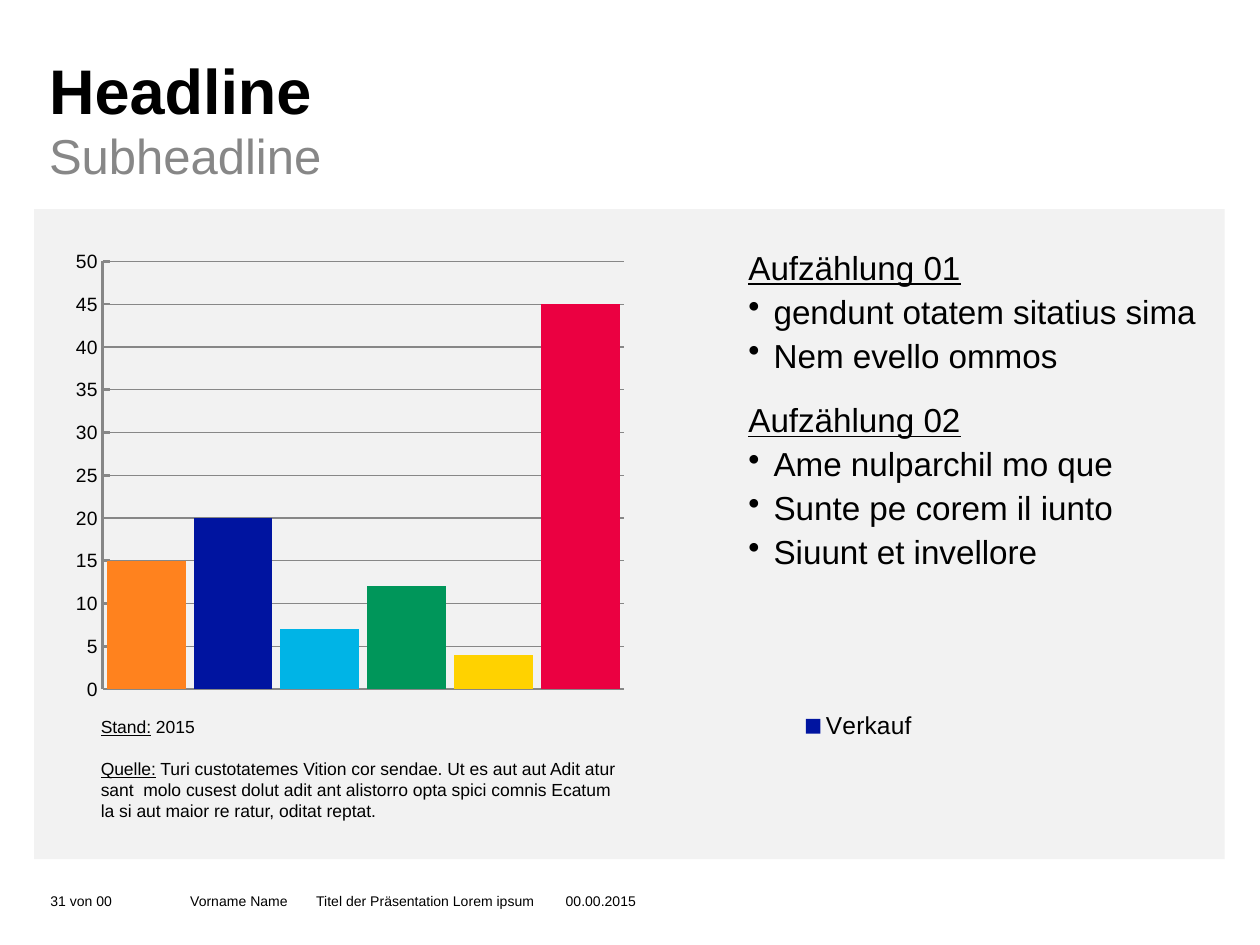
from dataclasses import dataclass

from lxml import etree
from pptx import Presentation, util as u
from pptx.chart.data import CategoryChartData
from pptx.dml.color import RGBColor
from pptx.enum import chart as charts, shapes, text
from pptx.oxml import ns

PX = u.Inches(1) // 100  # 100 px to the inch


@dataclass(frozen=True)
class Theme:
    font: str = "Arial"
    black: str = "000000"
    gray: str = "878787"
    panel: str = "F2F2F2"
    series: str = "0014A0"
    bars: tuple[str, ...] = ("FF821E", "0014A0", "00B4E6", "00965A", "FFD200", "EB0041")
    headline: int = 36
    subheadline: int = 28
    body: int = 19
    legend: int = 14
    axis: int = 11
    source: int = 10
    footer: int = 8


@dataclass(frozen=True)
class Box:
    left: int
    top: int
    width: int
    height: int

    def emu(self) -> tuple[int, ...]:
        return tuple(value * PX for value in (self.left, self.top, self.width, self.height))


@dataclass(frozen=True)
class Run:
    text: str
    underline: bool = False


@dataclass(frozen=True)
class Line:
    runs: tuple[Run, ...]
    bullet: bool = False
    space_before: int = 0
    tabs: tuple[int, ...] = ()


@dataclass(frozen=True)
class TextBlock:
    box: Box
    lines: tuple[Line, ...]
    size: int
    color: str
    bold: bool = False
    spacing: float = 1.0
    bottom: bool = False


THEME = Theme()
BULLET_INDENT = 20


def rgb(value: str) -> RGBColor:
    return RGBColor.from_string(value)


def plain(content: str, **options) -> Line:
    return Line((Run(content),), **options)


def heading(content: str, space_before: int = 0) -> Line:
    return Line((Run(content, underline=True),), space_before=space_before)


def bullet(content: str) -> Line:
    return plain(content, bullet=True)


def format_paragraph(paragraph, line: Line) -> None:
    properties = paragraph._p.get_or_add_pPr()
    if line.bullet:
        properties.set("marL", str(BULLET_INDENT * PX))
        properties.set("indent", str(-BULLET_INDENT * PX))
        etree.SubElement(properties, ns.qn("a:buChar"), char="•")
    if line.tabs:
        tab_list = etree.SubElement(properties, ns.qn("a:tabLst"))
        for position in line.tabs:
            etree.SubElement(tab_list, ns.qn("a:tab"), pos=str(position * PX), algn="l")


def add_text(slide, block: TextBlock) -> None:
    frame = slide.shapes.add_textbox(*block.box.emu()).text_frame
    frame.word_wrap = True
    frame.margin_left = frame.margin_right = frame.margin_top = frame.margin_bottom = 0
    frame.vertical_anchor = text.MSO_ANCHOR.BOTTOM if block.bottom else text.MSO_ANCHOR.TOP
    for index, line in enumerate(block.lines):
        paragraph = frame.add_paragraph() if index else frame.paragraphs[0]
        paragraph.line_spacing = block.spacing
        paragraph.space_before = u.Pt(line.space_before)
        format_paragraph(paragraph, line)
        for part in line.runs:
            run = paragraph.add_run()
            run.text = part.text
            run.font.name = THEME.font
            run.font.size = u.Pt(block.size)
            run.font.bold = block.bold
            run.font.underline = part.underline
            run.font.color.rgb = rgb(block.color)


def add_panel(slide, box: Box) -> None:
    shape = slide.shapes.add_shape(shapes.MSO_SHAPE.RECTANGLE, *box.emu())
    shape.shadow.inherit = False
    shape.fill.solid()
    shape.fill.fore_color.rgb = rgb(THEME.panel)
    shape.line.fill.background()


def place(parent, index: int, inner: bool = False, **fractions: float) -> None:
    """Give a chart part a fixed place, in fractions of the chart."""
    for old in parent.findall(ns.qn("c:layout")):
        parent.remove(old)
    layout = etree.Element(ns.qn("c:layout"))
    parent.insert(index, layout)
    manual = etree.SubElement(layout, ns.qn("c:manualLayout"))
    if inner:
        etree.SubElement(manual, ns.qn("c:layoutTarget"), val="inner")
    for name in ("x", "y"):
        etree.SubElement(manual, ns.qn(f"c:{name}Mode"), val="edge")
    for name, value in fractions.items():
        etree.SubElement(manual, ns.qn(f"c:{name}"), val=str(value))


def style_line(line, width: float) -> None:
    line.color.rgb = rgb(THEME.gray)
    line.width = u.Pt(width)


def add_sales_chart(slide, box: Box) -> None:
    data = CategoryChartData()
    data.categories = ["1", "2", "3", "4", "5", "6"]
    data.add_series("Verkauf", (15, 20, 7, 12, 4, 45))
    chart = slide.shapes.add_chart(charts.XL_CHART_TYPE.COLUMN_STACKED, *box.emu(), data).chart
    chart.has_title = False
    chart.font.name = THEME.font
    chart.font.size = u.Pt(18)
    chart.font.color.rgb = rgb(THEME.black)

    # Columns, one colour each
    plot = chart.plots[0]
    plot.gap_width, plot.overlap = 10, 100
    plot.vary_by_categories = False
    series = plot.series[0]
    series.format.fill.solid()
    series.format.fill.fore_color.rgb = rgb(THEME.series)
    for index, color in enumerate(THEME.bars):
        fill = series.points[index].format.fill
        fill.solid()
        fill.fore_color.rgb = rgb(color)

    # Axes
    category, value = chart.category_axis, chart.value_axis
    for axis in (category, value):
        axis.minor_tick_mark = charts.XL_TICK_MARK.NONE
        style_line(axis.format.line, 1.5)
    category.major_tick_mark = charts.XL_TICK_MARK.NONE
    category.tick_label_position = charts.XL_TICK_LABEL_POSITION.NONE
    value.major_tick_mark = charts.XL_TICK_MARK.INSIDE
    value.minimum_scale, value.maximum_scale, value.major_unit = 0, 50, 5
    value.tick_labels.font.size = u.Pt(THEME.axis)
    value.has_major_gridlines = True
    style_line(value.major_gridlines.format.line, 0.75)

    # Legend and plot position
    chart.has_legend = True
    legend = chart.legend
    legend.position = charts.XL_LEGEND_POSITION.RIGHT
    legend.include_in_layout = False
    legend.font.size = u.Pt(THEME.legend)
    place(legend._element, 1, x=0.69, y=0.78, w=0.2, h=0.06)
    place(chart._chartSpace.chart.plotArea, 0, inner=True, x=0.05, y=0.06, w=0.51, h=0.69)


BLOCKS = (
    TextBlock(Box(39, 41, 697, 62), (plain("Headline"),), THEME.headline, THEME.black, bold=True),
    TextBlock(Box(39, 95, 697, 55), (plain("Subheadline"),), THEME.subheadline, THEME.gray, spacing=1.1),
    TextBlock(Box(80, 568, 413, 102), (
        Line((Run("Stand:", True), Run(" 2015"))),
        Line((Run("Quelle:", True), Run(
            " Turi custotatemes Vition cor sendae. Ut es aut aut Adit atur sant  molo cusest dolut "
            "adit ant alistorro opta spici comnis Ecatum la si aut maior re ratur, oditat reptat.")),
            space_before=12),
    ), THEME.source, THEME.black),
    TextBlock(Box(594, 193, 366, 272), (
        heading("Aufzählung 01"),
        bullet("gendunt otatem sitatius sima"),
        bullet("Nem evello ommos"),
        heading("Aufzählung 02", space_before=12),
        bullet("Ame nulparchil mo que"),
        bullet("Sunte pe corem il iunto"),
        bullet("Siuunt et invellore"),
    ), THEME.body, THEME.black, spacing=1.1),
    TextBlock(Box(40, 690, 106, 32), (plain("31 von 00"),), THEME.footer, THEME.black, bottom=True),
    TextBlock(Box(151, 690, 743, 32), (
        plain("Vorname Name\tTitel der Präsentation Lorem ipsum\t00.00.2015", tabs=(100, 298)),
    ), THEME.footer, THEME.black, bottom=True),
)


def main() -> None:
    presentation = Presentation()
    presentation.slide_width, presentation.slide_height = 1000 * PX, 750 * PX
    slide = presentation.slides.add_slide(presentation.slide_layouts[6])
    add_panel(slide, Box(27, 166, 945, 516))
    add_sales_chart(slide, Box(41, 178, 811, 492))
    for block in BLOCKS:
        add_text(slide, block)
    presentation.save("out.pptx")


if __name__ == "__main__":
    main()
